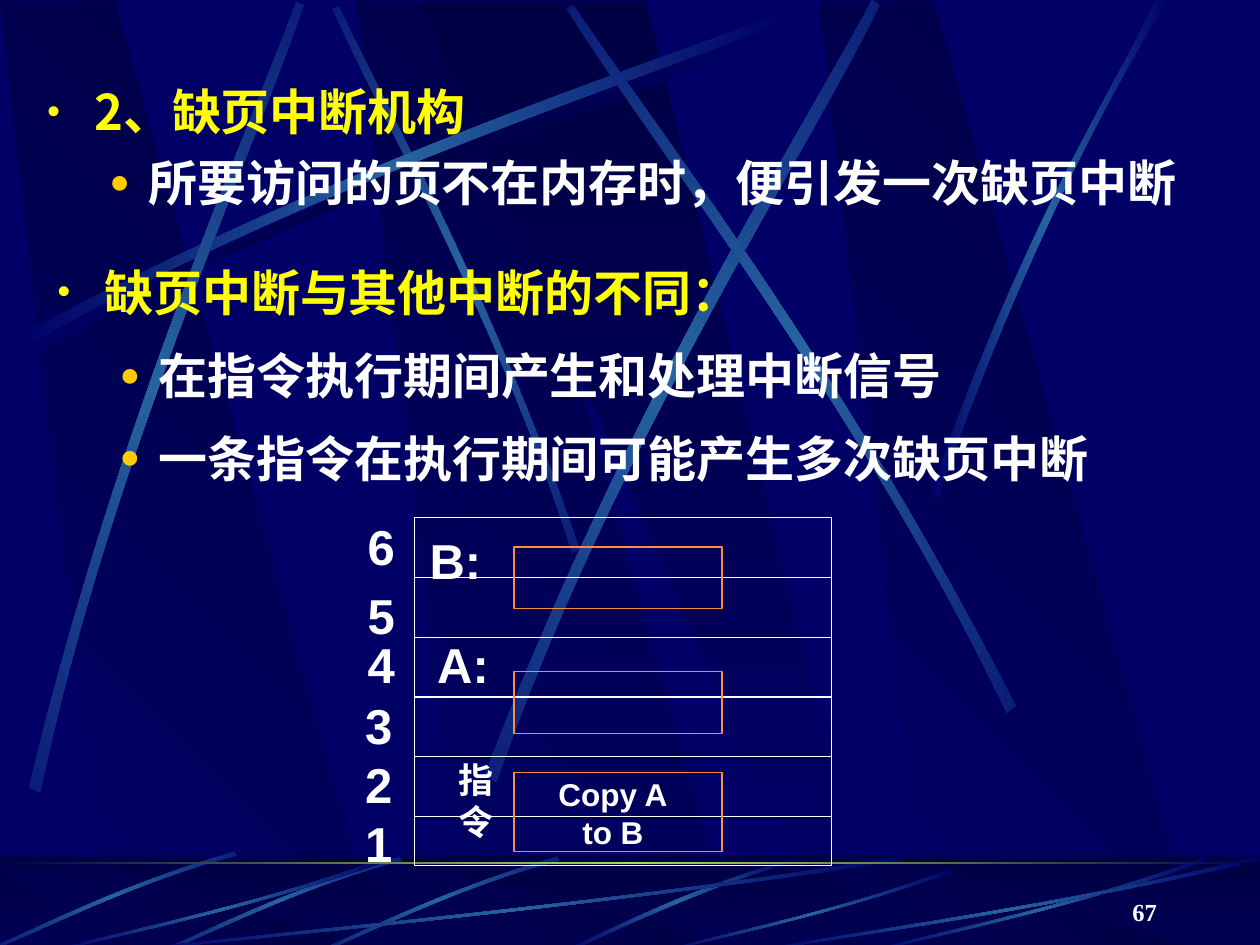
import math
from dataclasses import dataclass
from typing import NamedTuple

import lxml.etree
import pptx
import pptx.dml.color
import pptx.enum.shapes
import pptx.enum.text
import pptx.oxml.ns
import pptx.util
from pptx.util import Inches

qn = pptx.oxml.ns.qn
ALIGN = pptx.enum.text.PP_ALIGN
ANCHOR = pptx.enum.text.MSO_ANCHOR
FIT = pptx.enum.text.MSO_AUTO_SIZE.SHAPE_TO_FIT_TEXT
RECT = pptx.enum.shapes.MSO_SHAPE.RECTANGLE
STRAIGHT = pptx.enum.shapes.MSO_CONNECTOR.STRAIGHT


@dataclass(frozen=True)
class Theme:
    navy: str = "000066"
    dark: str = "000044"
    beam: str = "2663A0"
    green: str = "9CE157"
    white: str = "FFFFFF"
    yellow: str = "FFFF00"
    gold: str = "FFCC00"
    orange: str = "F98D43"
    cjk: str = "Noto Sans CJK SC"
    sans: str = "Arial"
    serif: str = "Times New Roman"
    body: int = 28
    label: int = 20
    code: int = 18
    number: int = 14
    line: float = 0.75


T = Theme()


class Beam(NamedTuple):
    """Two Bezier edges, eight points in all, and the rotation of the frame."""
    points: list
    angle: float = 0
    middle: str = T.beam


class Bullet(NamedTuple):
    text: str
    level: int


class Label(NamedTuple):
    text: str
    left: float
    top: float
    width: float = 0.41
    height: float = 0.57
    size: int = T.body


def rgb(color: str) -> pptx.dml.color.RGBColor:
    return pptx.dml.color.RGBColor.from_string(color)


def fill_gradient(sp, colors: list, angle: float) -> None:
    sp.shadow.inherit = False
    sp.line.fill.background()
    sp.fill.background()
    old = sp._element.spPr.find(qn("a:noFill"))
    grad = lxml.etree.Element(qn("a:gradFill"), rotWithShape="1")
    stops = lxml.etree.SubElement(grad, qn("a:gsLst"))
    for i, color in enumerate(colors):
        gs = lxml.etree.SubElement(stops, qn("a:gs"), pos=str(100000 * i // (len(colors) - 1)))
        lxml.etree.SubElement(gs, qn("a:srgbClr"), val=color)
    lxml.etree.SubElement(grad, qn("a:lin"), ang=str(int(angle * 60000)), scaled="0")
    old.getparent().replace(old, grad)


def add_polygon(s, points: list, colors: list, angle: float):
    emu = [(Inches(x), Inches(y)) for x, y in points]
    builder = s.shapes.build_freeform(*emu[0], scale=1.0)
    builder.add_line_segments(emu[1:], close=True)
    sp = builder.convert_to_shape()
    fill_gradient(sp, colors, angle)
    return sp


def rotate(x: float, y: float, degrees: float) -> tuple:
    a = math.radians(degrees)
    return x * math.cos(a) - y * math.sin(a), x * math.sin(a) + y * math.cos(a)


def add_beam(s, beam: Beam) -> None:
    upright = [rotate(x, y, -beam.angle) for x, y in beam.points]
    sp = add_polygon(s, upright, [T.navy, beam.middle, T.navy], 0)
    # Turn the frame about its centre, back to where the beam lies
    cx, cy = rotate(sp.left + sp.width / 2, sp.top + sp.height / 2, beam.angle)
    sp.left, sp.top = round(cx - sp.width / 2), round(cy - sp.height / 2)
    sp.rotation = beam.angle
    # Bend each long edge: three line ends become one cubic segment
    lines = list(sp._element.iter(qn("a:lnTo")))
    for first in (0, 4):
        curve = lxml.etree.Element(qn("a:cubicBezTo"))
        lines[first].addprevious(curve)
        for line in lines[first:first + 3]:
            curve.append(line[0])
            line.getparent().remove(line)


def shift(points: list, dx: float, dy: float) -> list:
    return [(x + dx, y + dy) for x, y in points]


def add_bands(s, top: float, bottom: float) -> None:
    for x in (2.83, 0, 6.5):
        corners = [(x + 0.86, bottom), (x + 3.02, bottom), (x + 0.91, top), (x, top)]
        add_polygon(s, corners, [T.navy, T.dark], 315)
    add_polygon(s, [(3.33, top), (6.58, bottom), (6.94, bottom), (5.13, top)], [T.dark, T.navy], 90)


def add_rect(s, left: float, top: float, width: float, height: float):
    sp = s.shapes.add_shape(RECT, *map(Inches, (left, top, width, height)))
    sp.shadow.inherit = False
    return sp


def add_frame(s, left: float, top: float, width: float, height: float, color: str) -> None:
    sp = add_rect(s, left, top, width, height)
    sp.fill.background()
    sp.line.color.rgb = rgb(color)
    sp.line.width = pptx.util.Pt(T.line)


def add_rule(s, left: float, right: float, y: float) -> None:
    line = s.shapes.add_connector(STRAIGHT, *map(Inches, (left, y, right, y)))
    line.line.color.rgb = rgb(T.white)
    line.line.width = pptx.util.Pt(T.line)
    lxml.etree.SubElement(line._element.spPr, qn("a:effectLst"))


def add_run(p, text: str, font: str, size: int, color: str) -> None:
    r = p.add_run()
    r.text = text
    r.font.name, r.font.size, r.font.bold = font, pptx.util.Pt(size), True
    r.font.color.rgb = rgb(color)
    lxml.etree.SubElement(r._r.get_or_add_rPr(), qn("a:ea"), typeface=T.cjk)


def add_box(s, left: float, top: float, width: float, height: float, wrap: bool):
    tf = s.shapes.add_textbox(*map(Inches, (left, top, width, height))).text_frame
    tf.word_wrap = wrap
    return tf


def add_bullets(s, box: tuple, items: list, spacing: float) -> None:
    tf = add_box(s, *box, wrap=True)
    for i, item in enumerate(items):
        p = tf.paragraphs[0] if i == 0 else tf.add_paragraph()
        p.level, p.line_spacing = item.level, spacing
        if i:
            p.space_before = pptx.util.Pt(7)
        margin, hang, color, size, char = ((0.38, 0.38, T.yellow, 85, "•"),
                                           (0.81, 0.31, T.gold, 70, "●"))[item.level]
        pPr = p._p.get_or_add_pPr()
        pPr.set("marL", str(Inches(margin)))
        pPr.set("indent", str(-Inches(hang)))
        clr = lxml.etree.SubElement(pPr, qn("a:buClr"))
        lxml.etree.SubElement(clr, qn("a:srgbClr"), val=color)
        lxml.etree.SubElement(pPr, qn("a:buSzPct"), val=str(size * 1000))
        lxml.etree.SubElement(pPr, qn("a:buFont"), typeface=T.serif)
        lxml.etree.SubElement(pPr, qn("a:buChar"), char=char)
        add_run(p, item.text, T.cjk, T.body, T.white if item.level else T.yellow)


def add_label(s, label: Label) -> None:
    tf = add_box(s, label.left, label.top, label.width, label.height, wrap=False)
    tf.auto_size = FIT
    for i, text in enumerate(label.text.split("\n")):
        p = tf.paragraphs[0] if i == 0 else tf.add_paragraph()
        p.alignment = ALIGN.CENTER
        add_run(p, text, T.sans, label.size, T.white)


LONG = [(0.14, 2.67), (2.78, 1.25), (5.18, 0.51), (6.2, 0.1),
        (6.23, 0.16), (5.22, 0.61), (2.48, 1.43), (0.17, 2.77)]
SKY = [
    Beam(shift(LONG, 0.06, 0.08), 0, T.dark),
    Beam([(4.6, 4.36), (3.91, 2.34), (3.02, 0.77), (2.69, 0.05),
          (2.64, 0.07), (2.95, 0.79), (3.98, 2.58), (4.54, 4.39)], 45),
    Beam(LONG),
    Beam([(0.23, 6.25), (0.93, 3.34), (1.97, 1.05), (2.35, 0.02),
          (2.41, 0.04), (2.07, 1.08), (0.86, 3.68), (0.32, 6.29)], 311.7),
    Beam([(3.85, 6.14), (4.98, 3.2), (6.38, 1.02), (6.92, 0),
          (6.98, 0.04), (6.49, 1.08), (4.86, 3.55), (3.94, 6.21)], 321.6),
    Beam([(8.06, 5.6), (6.7, 2.93), (5.16, 0.95), (4.55, 0.04),
          (4.5, 0.07), (5.07, 1.01), (6.85, 3.25), (7.99, 5.66)], 34.8),
    Beam([(7.38, 3.93), (8.14, 1.73), (8.88, 0.66), (9.17, 0),
          (9.27, 0), (8.36, 1.45), (7.69, 3.22), (7.44, 3.97)]),
]
SHORT = [(4.42, 6.8), (3.55, 7.05), (2.87, 7.4), (2.56, 7.53),
         (2.57, 7.55), (2.88, 7.43), (3.65, 7.03), (4.44, 6.83)]
# Sweep in fractions of its own width and height
SWEEP = [(1, 0.04), (0.57, 0.57), (0.17, 0.85), (0.01, 1),
         (0, 0.99), (0.17, 0.81), (0.62, 0.51), (0.99, 0)]
FLOOR = [Beam([(6.27, 6.82), (5.37, 7.09), (4.77, 7.42), (4.48, 7.54),
               (4.53, 7.55), (4.9, 7.37), (5.71, 7), (6.28, 6.85)])]
FLOOR += [Beam(shift(SHORT, dx, dy), 314.9) for dx, dy in ((0, 0), (-1.25, 0), (-2.56, -0.04))]
FLOOR += [Beam([(left + x * width, 7.55 - (1 - y) * height) for x, y in SWEEP])
          for left, width, height in ((1, 6.17, 0.75), (0.42, 2.67, 0.75), (5.27, 2.31, 0.66),
                                      (6.92, 2.67, 0.75), (6, 4, 0.75))]


def add_backdrop(s) -> None:
    s.background.fill.solid()
    s.background.fill.fore_color.rgb = rgb(T.navy)
    add_bands(s, 0.01, 7.52)
    for beam in SKY:
        add_beam(s, beam)
    fill_gradient(add_rect(s, 0, 6.8, 10, 0.75), [T.dark, T.navy], 90)
    add_bands(s, 6.88, 7.54)
    veil = add_rect(s, 0, 6.79, 10, 0.75)
    veil.line.fill.background()
    veil.fill.solid()
    veil.fill.fore_color.rgb = rgb(T.dark)
    color = veil._element.spPr.find(qn("a:solidFill"))[0]
    lxml.etree.SubElement(color, qn("a:alpha"), val="50000")
    for beam in FLOOR:
        add_beam(s, beam)
    fill_gradient(add_rect(s, 0, 6.84, 10, 0.02), [T.dark, T.green, T.dark], 0)


def add_memory(s) -> None:
    left, top, width = 3.29, 4.11, 3.31
    add_frame(s, left, top, width, 2.76, T.white)
    for row in range(1, 6):
        add_rule(s, left, left + width, top + 0.474 * row)
    for y, height in ((4.34, 0.49), (5.33, 0.49), (6.13, 0.63)):
        add_frame(s, 4.08, y, 1.65, height, T.orange)
    for page, y in zip("654321", (4.05, 4.6, 4.99, 5.47, 5.94, 6.41)):
        add_label(s, Label(page, 2.82 if page > "3" else 2.8, y))
    for label in (Label("A:", 3.37, 4.99, 0.61), Label("B:", 3.31, 4.16, 0.61),
                  Label("Copy A\nto B", 4.33, 6.1, 1.07, 0.7, T.code),
                  Label("指令", 3.4, 5.97, 0.75, 0.44, T.label)):
        add_label(s, label)


def main() -> None:
    prs = pptx.Presentation()
    prs.slide_width, prs.slide_height = Inches(10), Inches(7.5)
    s = prs.slides.add_slide(prs.slide_layouts[6])
    add_backdrop(s)
    # Bulleted text
    add_bullets(s, (0.27, 0.6, 9.4, 1.28), [
        Bullet("2、缺页中断机构", 0), Bullet("所要访问的页不在内存时，便引发一次缺页中断", 1)], 1.0)
    add_bullets(s, (0.35, 1.94, 9.21, 2.13), [
        Bullet("缺页中断与其他中断的不同：", 0), Bullet("在指令执行期间产生和处理中断信号", 1),
        Bullet("一条指令在执行期间可能产生多次缺页中断", 1)], 1.2)
    # Memory pages
    add_memory(s)
    # Slide number
    tf = add_box(s, 7.2, 6.9, 2.08, 0.5, wrap=True)
    tf.vertical_anchor = ANCHOR.BOTTOM
    tf.paragraphs[0].alignment = ALIGN.RIGHT
    add_run(tf.paragraphs[0], "67", T.serif, T.number, T.white)
    prs.save("out.pptx")


if __name__ == "__main__":
    main()
